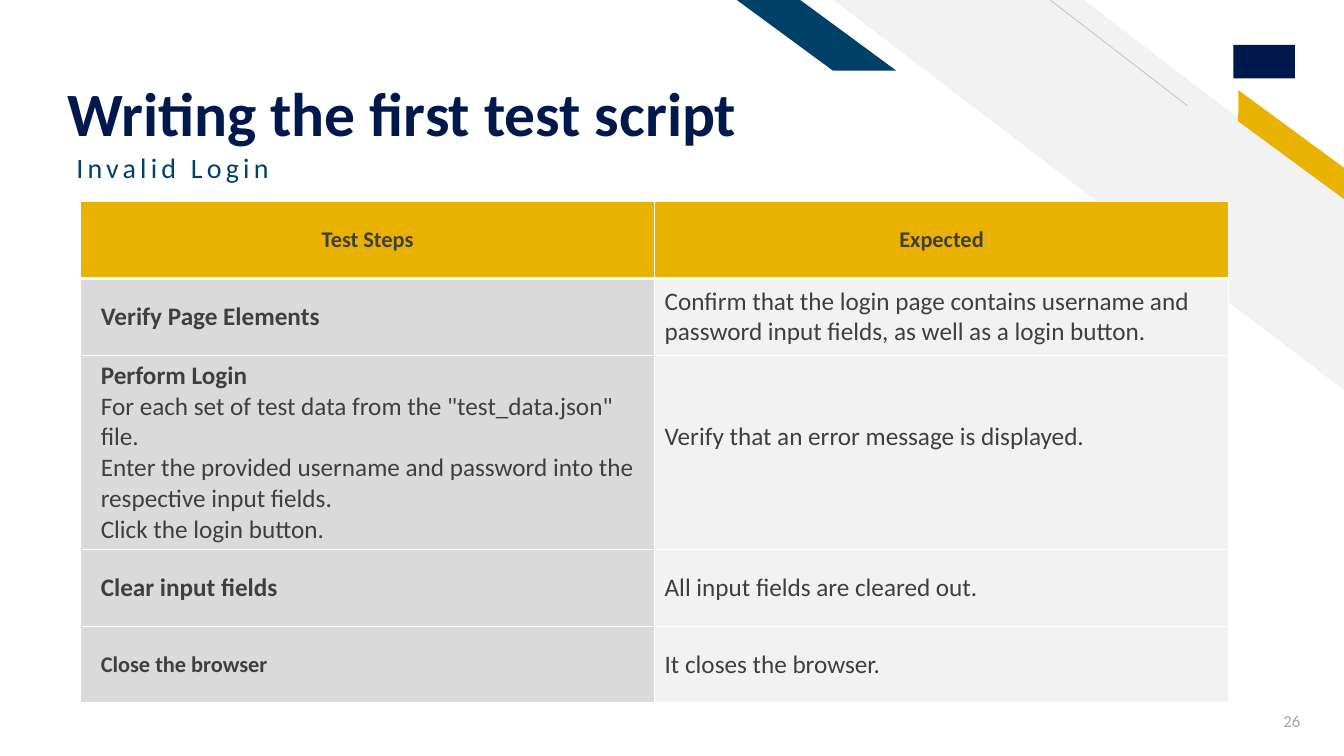
from lxml.etree import SubElement
from pptx import Presentation
from pptx.dml.color import RGBColor
from pptx.enum.shapes import MSO_CONNECTOR, MSO_SHAPE as SHAPE
from pptx.enum.text import MSO_ANCHOR as ANCHOR, PP_ALIGN as ALIGN
from pptx.oxml.ns import qn
from pptx.util import Pt

NAVY = RGBColor(0x00, 0x19, 0x4C)
TEAL = RGBColor(0x01, 0x40, 0x67)
GOLD = RGBColor(0xEA, 0xB2, 0x00)
WHITE = RGBColor(0xFF, 0xFF, 0xFF)
PALE = RGBColor(0xF2, 0xF2, 0xF2)
SILVER = RGBColor(0xDA, 0xDA, 0xDA)
RULE = RGBColor(0xBF, 0xBF, 0xBF)
MUTED = RGBColor(0xA5, 0xA5, 0xA5)
INK = RGBColor(0x3F, 0x3F, 0x3F)

ROW_HEIGHT = 54.9
LOGIN_ROW_HEIGHT = 138.6
COLUMN_WIDTH = 410

# Each step: heading, heading size, detail lines, expected result, bottom inset of the result
STEPS = [
    ("Verify Page Elements", 18, [],
     "Confirm that the login page contains username and password input fields, "
     "as well as a login button.", 3.6),
    ("Perform Login", 18,
     ['For each set of test data from the "test_data.json" file.',
      "Enter the provided username and password into the respective input fields.",
      "Click the login button."],
     "Verify that an error message is displayed.", 25.6),
    ("Clear input fields", 18, [], "All input fields are cleared out.", 3.6),
    ("Close the browser", 16, [], "It closes the browser.", 3.6),
]


def write(para, text, size=18, color=INK, bold=False, font="Calibri",
          align=ALIGN.LEFT, leading=None, tracking=None):
    """Put one formatted span of text in a paragraph; tracking is in points."""
    para.alignment = align
    if leading:
        para.line_spacing = leading
    span = para.add_run()
    span.text = text
    span.font.name = font
    span.font.size = Pt(size)
    span.font.bold = bold
    span.font.color.rgb = color
    if tracking:
        span.font._element.set("spc", str(tracking * 100))


class Page:
    def __init__(self, deck):
        self.slide = deck.slides.add_slide(deck.slide_layouts[6])
        self.shapes = self.slide.shapes

    def shape(self, kind, left, top, width, height, color):
        shape = self.shapes.add_shape(kind, Pt(left), Pt(top), Pt(width), Pt(height))
        shape.shadow.inherit = False
        shape.fill.solid()
        shape.fill.fore_color.rgb = color
        shape.line.fill.background()
        return shape

    def band(self, kind, left, top, width, height, color, adjust, rotation=0):
        """Draw a slanted preset shape, mirrored left to right."""
        band = self.shape(kind, left, top, width, height, color)
        band.adjustments[0] = adjust
        band.rotation = rotation
        band._element.spPr.find(qn("a:xfrm")).set("flipH", "1")

    def line(self, x1, y1, x2, y2, color, width):
        line = self.shapes.add_connector(
            MSO_CONNECTOR.STRAIGHT, Pt(x1), Pt(y1), Pt(x2), Pt(y2))
        line.line.color.rgb = color
        line.line.width = Pt(width)
        SubElement(line._element.spPr, qn("a:effectLst"))

    def text(self, left, top, width, height, text, anchor=ANCHOR.TOP,
             bottom=3.6, **style):
        box = self.shapes.add_textbox(Pt(left), Pt(top), Pt(width), Pt(height))
        frame = box.text_frame
        frame.word_wrap = True
        frame.vertical_anchor = anchor
        frame.margin_bottom = Pt(bottom)
        write(frame.paragraphs[0], text, **style)

    def cell(self, cell, fill, lines, left=7.2, bottom=3.6, top_line=1, bottom_line=1):
        """Fill a table cell; lines holds pairs of text and format."""
        cell.vertical_anchor = ANCHOR.MIDDLE
        cell.margin_left, cell.margin_right = Pt(left), Pt(7.2)
        cell.margin_top, cell.margin_bottom = Pt(3.6), Pt(bottom)
        properties = cell._tc.get_or_add_tcPr()
        for side, width in zip("LRTB", (1, 1, top_line, bottom_line)):
            border = SubElement(properties, qn(f"a:ln{side}"), w=str(Pt(width)))
            solid = SubElement(border, qn("a:solidFill"))
            SubElement(solid, qn("a:srgbClr"), val=str(WHITE))
        cell.fill.solid()
        cell.fill.fore_color.rgb = fill
        frame = cell.text_frame
        for index, (text, style) in enumerate(lines):
            para = frame.add_paragraph() if index else frame.paragraphs[0]
            write(para, text, **style)

    def test_table(self, left, top):
        heights = [LOGIN_ROW_HEIGHT if details else ROW_HEIGHT
                   for _, _, details, _, _ in STEPS]
        heights.insert(0, ROW_HEIGHT)
        table = self.shapes.add_table(
            len(heights), 2, Pt(left), Pt(top),
            Pt(2 * COLUMN_WIDTH), Pt(sum(heights))).table
        for column in table.columns:
            column.width = Pt(COLUMN_WIDTH)
        for row, height in zip(table.rows, heights):
            row.height = Pt(height)

        header = dict(size=16, bold=True, align=ALIGN.CENTER)
        for column, title in enumerate(("Test Steps", "Expected")):
            self.cell(table.cell(0, column), GOLD, [(title, header)], bottom_line=3)
        for row, (heading, size, details, expected, bottom) in enumerate(STEPS, 1):
            top_line = 3 if row == 1 else 1
            lines = [(heading, dict(size=size, bold=True))]
            lines += [(detail, {}) for detail in details]
            self.cell(table.cell(row, 0), SILVER, lines, left=14.4, top_line=top_line)
            self.cell(table.cell(row, 1), PALE, [(expected, {})],
                      bottom=bottom, top_line=top_line)


def main():
    deck = Presentation()
    deck.slide_width, deck.slide_height = Pt(960), Pt(540)
    page = Page(deck)

    page.band(SHAPE.DIAGONAL_STRIPE, 595.4, 0, 364.6, 278.6, PALE, 0.51)
    page.line(848.2, 75.6, 750.2, 0, RULE, 0.5)
    page.band(SHAPE.PARALLELOGRAM, 869, 94.3, 106.6, 18, GOLD, 0.72, rotation=36.3)
    page.band(SHAPE.PARALLELOGRAM, 526.3, 0, 113.8, 50.4, TEAL, 1.36)
    page.shape(SHAPE.RECTANGLE, 881, 32, 44, 24, NAVY)

    page.text(41, 16.6, 655.9, 90.7, "Writing the first test script",
              anchor=ANCHOR.BOTTOM, bottom=0, size=44, color=NAVY, bold=True, leading=0.9)
    page.test_table(57.6, 144)
    page.text(877.7, 500.4, 58.3, 28.8, "26", anchor=ANCHOR.MIDDLE,
              size=12, color=MUTED, align=ALIGN.RIGHT)
    page.text(47.5, 106.6, 580.3, 48.2, "Invalid Login",
              size=20, color=TEAL, leading=0.9, tracking=3)
    deck.save("out.pptx")


if __name__ == "__main__":
    main()
